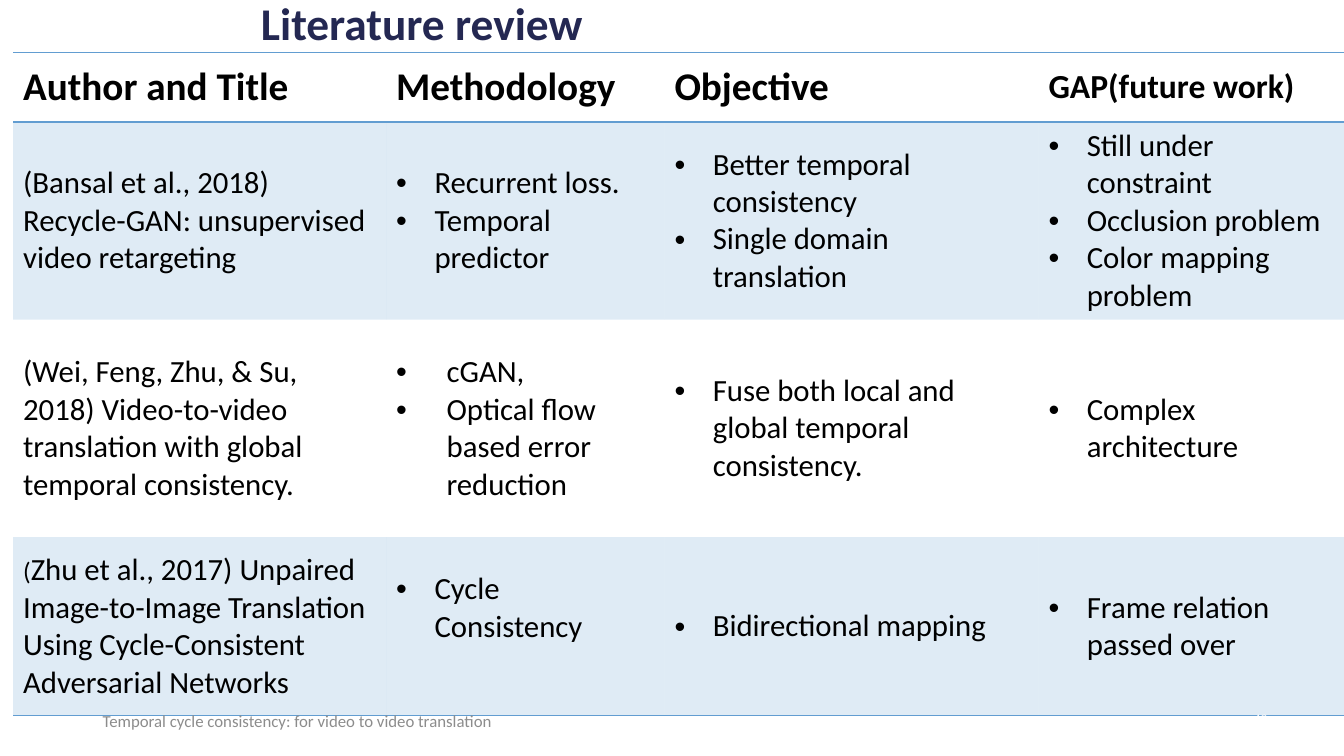
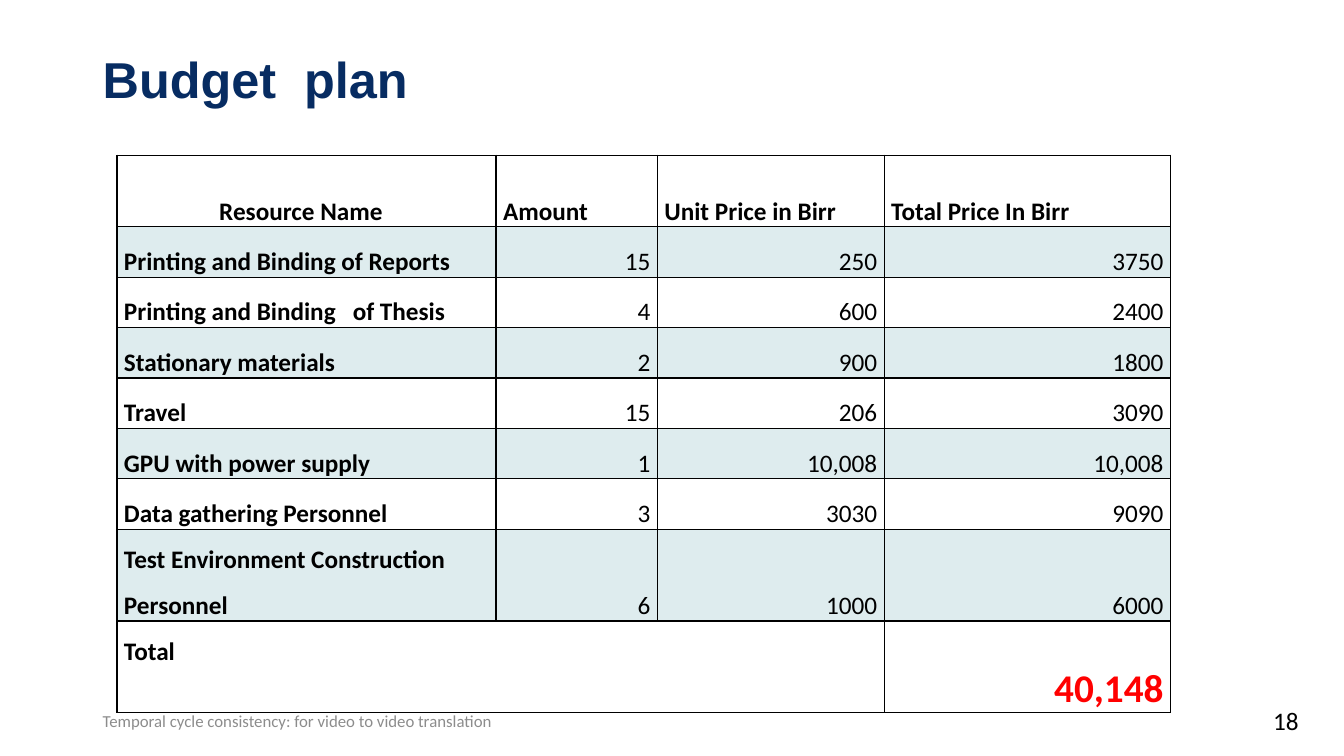
from lxml.etree import SubElement
from pptx import Presentation
from pptx.dml.color import RGBColor
from pptx.enum.text import MSO_ANCHOR, PP_ALIGN
from pptx.oxml.ns import qn
from pptx.util import Inches, Pt

BLUE = "629DD1"
TEAL = "5AA2AE"
BLACK = "000000"
RED = "FF0000"
GREY = "8C8C8C"
WHITE = "FFFFFF"
BODY_FONT = "Calibri"
PLAIN_TABLE = "{2D5ABB26-0587-4C30-8999-92F81FD0307C}"
FOOTER = "Temporal cycle consistency: for video to video translation"

REVIEW_HEAD = ["Author and Title", "Methodology", "Objective", "GAP(future work)"]
REVIEW = [
    [["(Bansal et al., 2018)", "Recycle-GAN: unsupervised video retargeting"],
     ["Recurrent loss.", "Temporal predictor"],
     ["Better temporal consistency", "Single domain translation"],
     ["Still under constraint", "Occlusion problem", "Color mapping problem"]],
    [["(Wei, Feng, Zhu, & Su, 2018) Video-to-video translation with global "
      "temporal consistency."],
     ["cGAN,", "Optical flow based error reduction"],
     ["Fuse both local and global temporal consistency."],
     ["Complex architecture"]],
    [["("],
     ["Cycle Consistency"],
     ["Bidirectional mapping"],
     ["Frame relation passed over"]],
]
ZHU_TITLE = ("Zhu et al., 2017) Unpaired Image-to-Image Translation Using "
             "Cycle-Consistent Adversarial Networks")

BUDGET_HEAD = ["Resource Name", "Amount", "Unit Price in Birr", "Total Price In Birr"]
BUDGET = [
    ["Printing and Binding of Reports", "15", "250", "3750"],
    ["Printing and Binding   of Thesis", "4", "600", "2400"],
    ["Stationary materials", "2", "900", "1800"],
    ["Travel", "15", "206", "3090"],
    ["GPU with power supply", "1", "10,008", "10,008"],
    ["Data gathering Personnel", "3", "3030", "9090"],
    ["Test Environment Construction Personnel", "6", "1000", "6000"],
]


def rgb(color):
    return RGBColor.from_string(color)


def style(r, size, color=BLACK, bold=False, font=BODY_FONT):
    r.font.size = Pt(size)
    r.font.color.rgb = rgb(color)
    r.font.bold = bold
    r.font.name = font


def add_text(slide, at, text, size, color, bold=False, font=BODY_FONT,
             align=PP_ALIGN.LEFT, anchor=MSO_ANCHOR.MIDDLE, spacing=None):
    tf = slide.shapes.add_textbox(*map(Inches, at)).text_frame
    tf.word_wrap = True
    tf.vertical_anchor = anchor
    p = tf.paragraphs[0]
    p.text = text
    p.alignment = align
    p.line_spacing = spacing
    style(p.runs[0], size, color, bold, font)


def add_title(slide, at, text, size, color, font):
    add_text(slide, at, text, size, color, True, font, spacing=0.9)


def add_footer(slide):
    add_text(slide, (0.92, 6.95, 4.5, 0.4), FOOTER, 12, GREY)


def add_bullet(p, indent):
    pPr = p._p.get_or_add_pPr()
    pPr.set("marL", str(Inches(indent)))
    pPr.set("indent", str(-Inches(indent)))
    SubElement(pPr, qn("a:buFont"), typeface="Arial")
    SubElement(pPr, qn("a:buChar"), char="•")


def add_table(slide, left, top, widths, heights):
    frame = slide.shapes.add_table(len(heights), len(widths), Inches(left), Inches(top),
                                   Inches(sum(widths)), Inches(sum(heights)))
    table = frame.table
    table.first_row = False
    table.horz_banding = False
    table._tbl.tblPr.find(qn("a:tableStyleId")).text = PLAIN_TABLE
    for col, width in zip(table.columns, widths):
        col.width = Inches(width)
    for row, height in zip(table.rows, heights):
        row.height = Inches(height)
    return table


def paint_cell(cell, sides, line_color, tint=None):
    tcPr = cell._tc.get_or_add_tcPr()
    for side in sides:
        ln = SubElement(tcPr, qn("a:ln" + side), w=str(Pt(1)))
        fill = SubElement(ln, qn("a:solidFill"))
        SubElement(fill, qn("a:srgbClr"), val=line_color)
    if tint is None:
        cell.fill.background()
        return
    cell.fill.solid()
    cell.fill.fore_color.rgb = rgb(tint)
    SubElement(tcPr.find(qn("a:solidFill")).find(qn("a:srgbClr")), qn("a:alpha"), val="20000")


def write_cell(cell, lines, size, color=BLACK, bold=False, indent=0,
               align=PP_ALIGN.LEFT, anchor=MSO_ANCHOR.MIDDLE, spacing=None):
    cell.vertical_anchor = anchor
    tf = cell.text_frame
    tf.text = "\n".join(lines)
    for p in tf.paragraphs:
        if indent:
            add_bullet(p, indent)
        p.alignment = align
        p.line_spacing = spacing
        style(p.runs[0], size, color, bold)


def write_budget_cell(cell, text, size=18, color=BLACK, bold=True,
                      align=PP_ALIGN.LEFT, anchor=MSO_ANCHOR.BOTTOM):
    cell.margin_left = cell.margin_right = Inches(0.07)
    cell.margin_top = cell.margin_bottom = 0
    write_cell(cell, [text], size, color, bold, 0, align, anchor, 1.5)


def build_review(slide):
    add_title(slide, (2.49, 0.08, 10.62, 0.36), "Literature review", 32.4, "242852", BODY_FONT)
    table = add_table(slide, 0.13, 0.52, [3.7, 2.76, 3.71, 3.04], [0.69, 1.96, 2.16, 1.77])
    for c, text in enumerate(REVIEW_HEAD):
        cell = table.cell(0, c)
        paint_cell(cell, "TB", BLUE)
        write_cell(cell, [text], 24 if c == 3 else 28, bold=True)
    for r, row in enumerate(REVIEW, 1):
        for c, lines in enumerate(row):
            cell = table.cell(r, c)
            paint_cell(cell, "B" if r == len(REVIEW) else "", BLUE, BLUE if r % 2 else None)
            indent = 0.5 if (r, c) == (2, 1) else 0.38
            write_cell(cell, lines, 22, indent=indent if c else 0)
    p = table.cell(3, 0).text_frame.paragraphs[0]
    p.runs[0].font.size = Pt(18)
    r = p.add_run()
    r.text = ZHU_TITLE
    style(r, 22)
    table.cell(3, 1).margin_bottom = Inches(0.42)
    add_text(slide, (9.56, 6.93, 3.11, 0.4), "12", 9, WHITE, font="Comic Neue",
             align=PP_ALIGN.RIGHT)
    add_footer(slide)


def build_budget(slide):
    add_title(slide, (0.92, 0.47, 11.5, 0.7), "Budget  plan", 36, "072C62", "Arial")
    heights = [0.71] + [0.5] * 6 + [0.91] * 2
    table = add_table(slide, 1.16, 1.54, [3.76, 1.6, 2.25, 2.84], heights)
    last = len(heights) - 1
    for r in range(len(heights)):
        for c in range(4):
            tint = TEAL if r % 2 else None
            paint_cell(table.cell(r, c), "LRTB", BLACK, tint)
    for c, text in enumerate(BUDGET_HEAD):
        write_budget_cell(table.cell(0, c), text,
                          align=PP_ALIGN.LEFT if c else PP_ALIGN.CENTER)
    table.cell(0, 0).margin_right = Inches(0.18)
    for r, row in enumerate(BUDGET, 1):
        for c, text in enumerate(row):
            write_budget_cell(table.cell(r, c), text, bold=c == 0,
                              align=PP_ALIGN.RIGHT if c else PP_ALIGN.LEFT)
    total = table.cell(last, 0)
    total.merge(table.cell(last, 2))
    write_budget_cell(total, "Total", anchor=MSO_ANCHOR.TOP)
    write_budget_cell(table.cell(last, 3), "40,148", 28, RED, align=PP_ALIGN.RIGHT)
    add_footer(slide)
    add_text(slide, (12.42, 6.95, 0.56, 0.4), "18", 18, BLACK,
             align=PP_ALIGN.RIGHT, anchor=MSO_ANCHOR.TOP)


def main():
    prs = Presentation()
    prs.slide_width = Inches(13.33)
    prs.slide_height = Inches(7.5)
    for build in (build_review, build_budget):
        build(prs.slides.add_slide(prs.slide_layouts[6]))
    prs.save("out.pptx")


if __name__ == "__main__":
    main()
